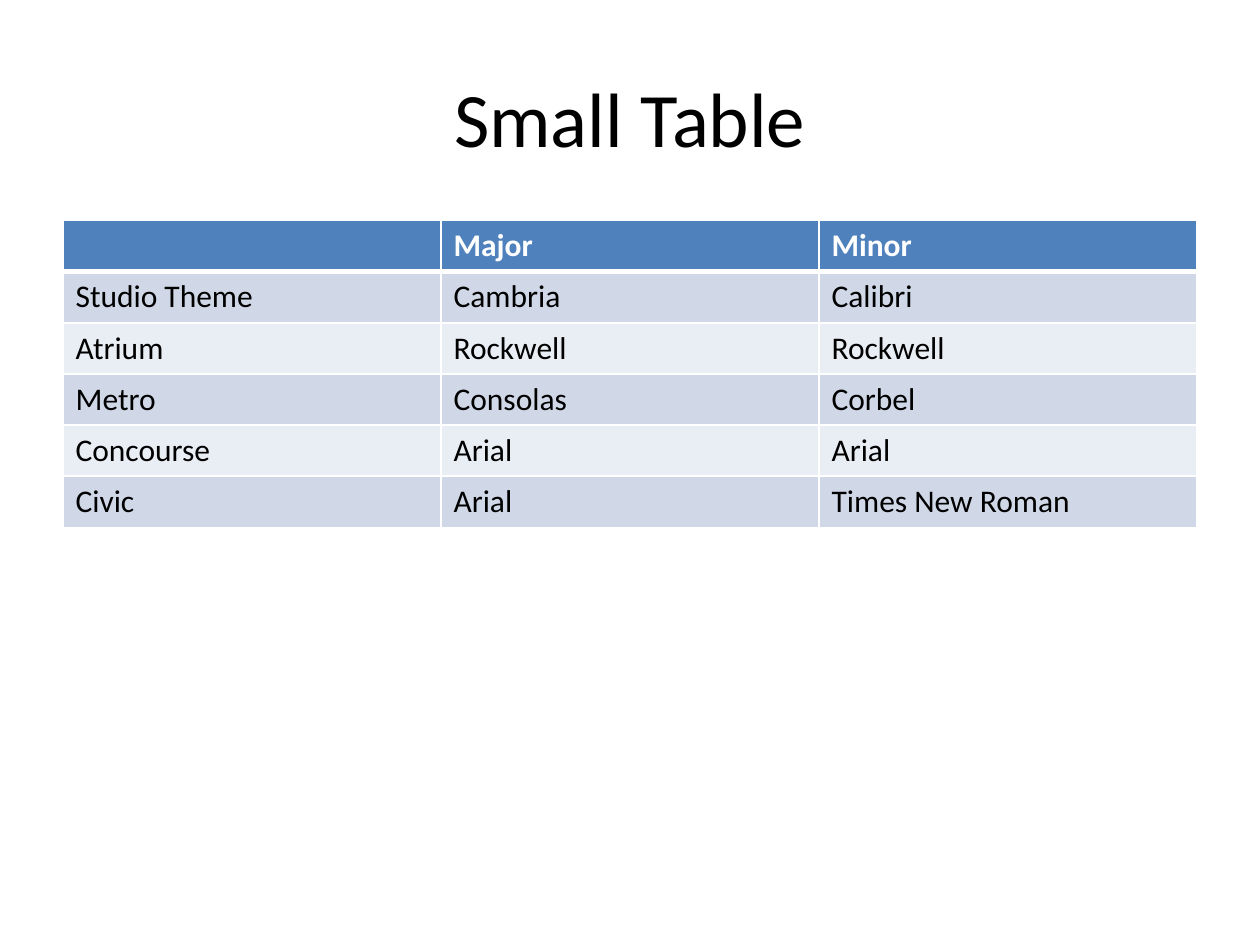
import pptx
import pptx.dml.color
import pptx.enum.text
import pptx.oxml
import pptx.oxml.ns
import pptx.util

COLOURS = {
    "ink": "000000",
    "paper": "FFFFFF",
    "header": "4F81BD",
    "odd": "D0D8E8",
    "even": "E9EDF4",
}
FONT = "Calibri"
PAGE_WIDTH = pptx.util.Inches(10)
PAGE_HEIGHT = pptx.util.Inches(7.5)
THEMES = [
    ("", "Major", "Minor"),
    ("Studio Theme", "Cambria", "Calibri"),
    ("Atrium", "Rockwell", "Rockwell"),
    ("Metro", "Consolas", "Corbel"),
    ("Concourse", "Arial", "Arial"),
    ("Civic", "Arial", "Times New Roman"),
]


def rgb(name):
    """Return the named colour."""
    return pptx.dml.color.RGBColor.from_string(COLOURS[name])


def area(left, top, width, height):
    """Turn shares of the page into a box of lengths."""
    return (
        int(left * PAGE_WIDTH),
        int(top * PAGE_HEIGHT),
        int(width * PAGE_WIDTH),
        int(height * PAGE_HEIGHT),
    )


def style_runs(para, size, colour, bold=False):
    """Give the paragraph's runs their face, size, colour and weight."""
    for span in para.runs:
        span.font.name = FONT
        span.font.size = pptx.util.Pt(size)
        span.font.bold = bold
        span.font.color.rgb = rgb(colour)


def add_title(page, box, text):
    """Place a centred title in the box."""
    frame = page.shapes.add_textbox(*box).text_frame
    frame.word_wrap = True
    frame.vertical_anchor = pptx.enum.text.MSO_ANCHOR.MIDDLE
    frame.text = text
    para = frame.paragraphs[0]
    para.alignment = pptx.enum.text.PP_ALIGN.CENTER
    style_runs(para, 44, "ink")


def add_borders(cell, top, bottom):
    """Draw the cell's borders, with top and bottom widths in points."""
    properties = cell._tc.get_or_add_tcPr()
    for side, points in (("L", 1), ("R", 1), ("T", top), ("B", bottom)):
        properties.append(pptx.oxml.parse_xml(
            f'<a:ln{side} {pptx.oxml.ns.nsdecls("a")} w="{pptx.util.Pt(points)}">'
            f'<a:solidFill><a:srgbClr val="{COLOURS["paper"]}"/></a:solidFill>'
            f'</a:ln{side}>'
        ))


def add_theme_table(page, box, records):
    """Fill the box with a header row and banded rows."""
    table = page.shapes.add_table(len(records), len(records[0]), *box).table
    for row, record in enumerate(records):
        is_header = row == 0
        fill = "header" if is_header else ("even", "odd")[row % 2]
        ink = "paper" if is_header else "ink"
        for column, text in enumerate(record):
            cell = table.cell(row, column)
            add_borders(cell, 3 if row == 1 else 1, 3 if is_header else 1)
            cell.fill.solid()
            cell.fill.fore_color.rgb = rgb(fill)
            cell.text_frame.text = text
            style_runs(cell.text_frame.paragraphs[0], 18, ink, is_header)


def main():
    """Build the deck and save it."""
    deck = pptx.Presentation()
    deck.slide_width = PAGE_WIDTH
    deck.slide_height = PAGE_HEIGHT
    page = deck.slides.add_slide(deck.slide_layouts[6])
    add_title(page, area(0.05, 0.04, 0.9, 1 / 6), "Small Table")
    add_theme_table(page, area(0.05, 7 / 30, 0.9, 0.325), THEMES)
    deck.save("out.pptx")


if __name__ == "__main__":
    main()
